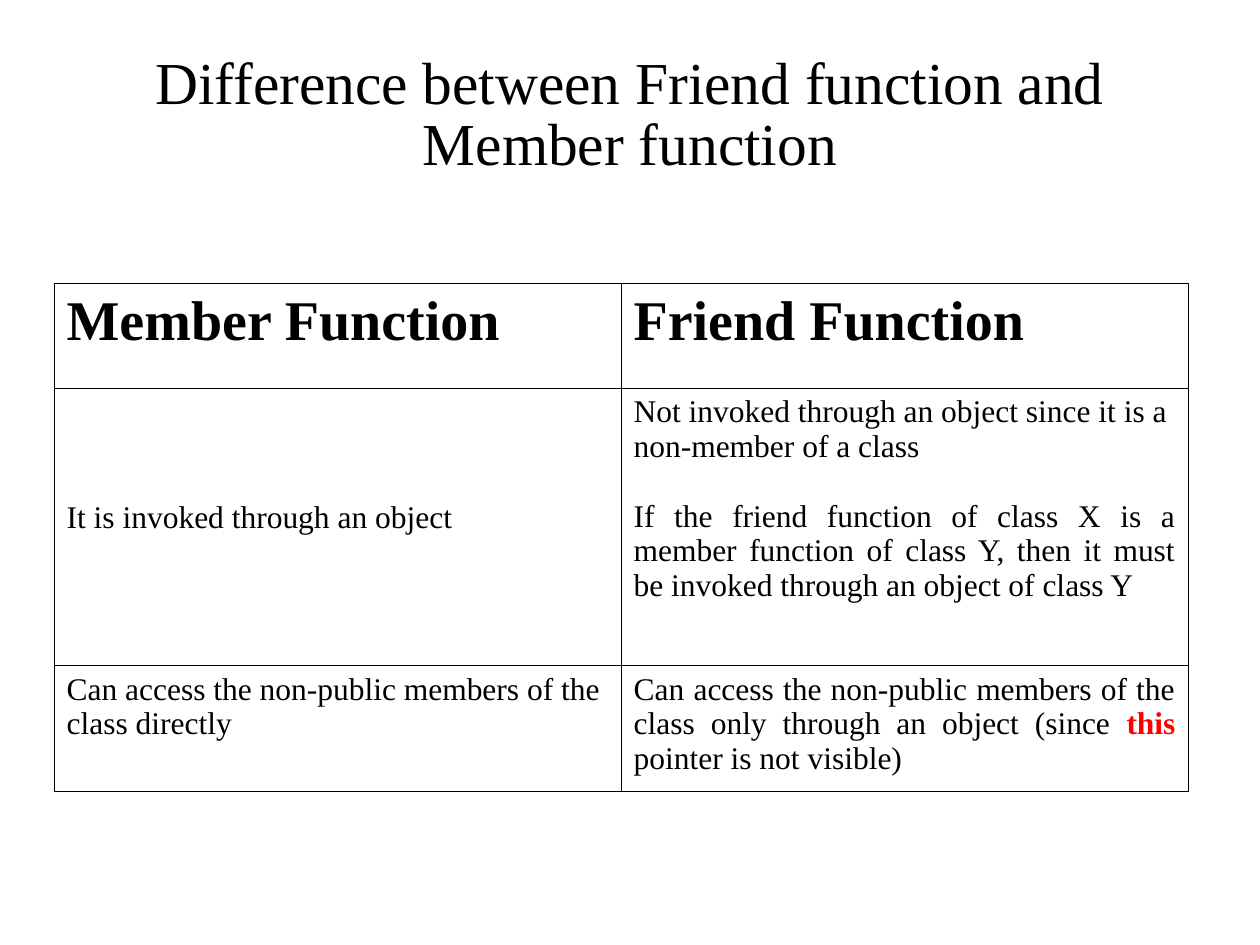
from lxml import etree
from pptx import Presentation
from pptx.dml.color import RGBColor
from pptx.enum.text import MSO_ANCHOR, PP_ALIGN
from pptx.oxml.ns import qn
from pptx.util import Cm, Pt

LEFT, CENTER, JUSTIFY = PP_ALIGN.LEFT, PP_ALIGN.CENTER, PP_ALIGN.JUSTIFY
MIDDLE, TOP = MSO_ANCHOR.MIDDLE, MSO_ANCHOR.TOP
COLORS = {"text": "000000", "keyword": "FF0000", "border": "000000"}
FORMATS = {
    "title": {"size": Pt(34), "bold": False},
    "header": {"size": Pt(32), "bold": True},
    "body": {"size": Pt(18), "bold": False},
    "keyword": {"size": Pt(18), "bold": True},
}


def add_run(p, text, style):
    r = p.add_run()
    r.text = text
    for name, value in FORMATS[style].items():
        setattr(r.font, name, value)
    r.font.name = "Times New Roman"
    r.font.color.rgb = RGBColor.from_string(COLORS.get(style, COLORS["text"]))


def set_borders(cell):
    tcPr = cell._tc.get_or_add_tcPr()
    for side in ("lnL", "lnR", "lnT", "lnB"):
        ln = etree.SubElement(tcPr, qn(f"a:{side}"), w=str(Pt(0.45)))
        fill = etree.SubElement(ln, qn("a:solidFill"))
        etree.SubElement(fill, qn("a:srgbClr"), val=COLORS["border"])


prs = Presentation()
prs.slide_width, prs.slide_height = Cm(25.4), Cm(19.05)
s = prs.slides.add_slide(prs.slide_layouts[5])

title = s.shapes.title
title.left, title.top, title.width, title.height = Cm(1.27), Cm(0.76), Cm(22.86), Cm(3.18)
tf = title.text_frame
tf.word_wrap = True
tf.vertical_anchor = MIDDLE
p = tf.paragraphs[0]
p.alignment = CENTER
p.line_spacing = 0.86
add_run(p, "Difference between Friend function and Member function", "title")

rows = [
    [
        [(LEFT, [("Member Function", "header")])],
        [(LEFT, [("Friend Function", "header")])],
    ],
    [
        [(LEFT, [("It is invoked through an object", "body")])],
        [
            (LEFT, [("Not invoked through an object since it is a non-member of a class", "body")]),
            (JUSTIFY, [("If the friend function of class X is a member function of class Y, "
                        "then it must be invoked through an object of class Y", "body")]),
        ],
    ],
    [
        [(LEFT, [("Can access the non-public members of the class directly", "body")])],
        [(JUSTIFY, [
            ("Can access the non-public members of the class only through an object (since ", "body"),
            ("this ", "keyword"),
            ("pointer is not visible)", "body"),
        ])],
    ],
]
row_heights = [Cm(2.1), Cm(5.6), Cm(2.54)]

table = s.shapes.add_table(3, 2, Cm(1.09), Cm(5.72), Cm(22.86), sum(row_heights)).table
table.first_row = table.horz_banding = False
for i, (row, height) in enumerate(zip(rows, row_heights)):
    table.rows[i].height = height
    for j, paragraphs in enumerate(row):
        cell = table.cell(i, j)
        set_borders(cell)
        cell.fill.background()
        cell.vertical_anchor = TOP
        for k, (alignment, runs) in enumerate(paragraphs):
            p = cell.text_frame.paragraphs[0] if k == 0 else cell.text_frame.add_paragraph()
            p.alignment = alignment
            if k:
                p.space_before = Pt(20)
            for text, style in runs:
                add_run(p, text, style)
table.cell(1, 0).margin_top = Cm(2.26)

prs.save("out.pptx")
